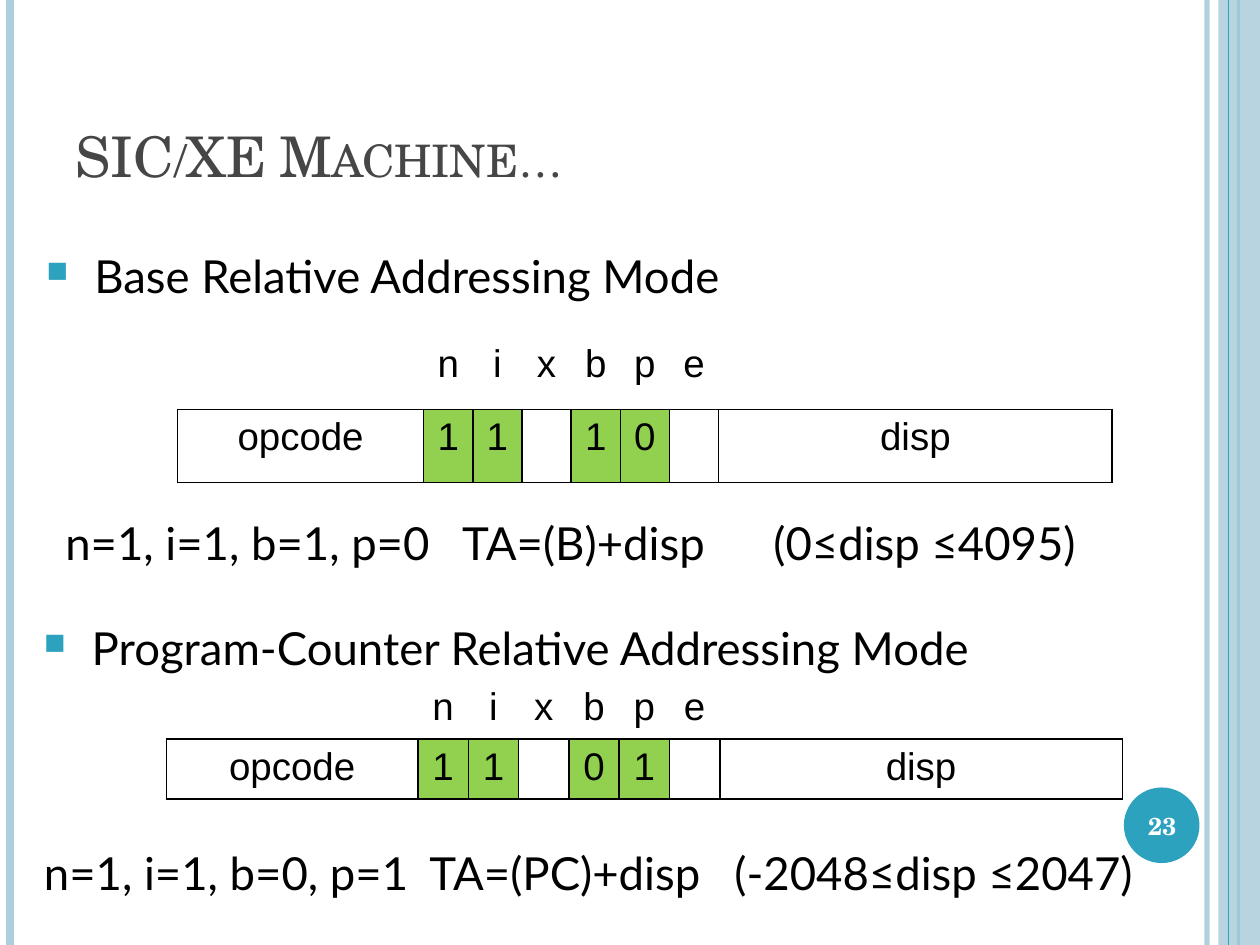
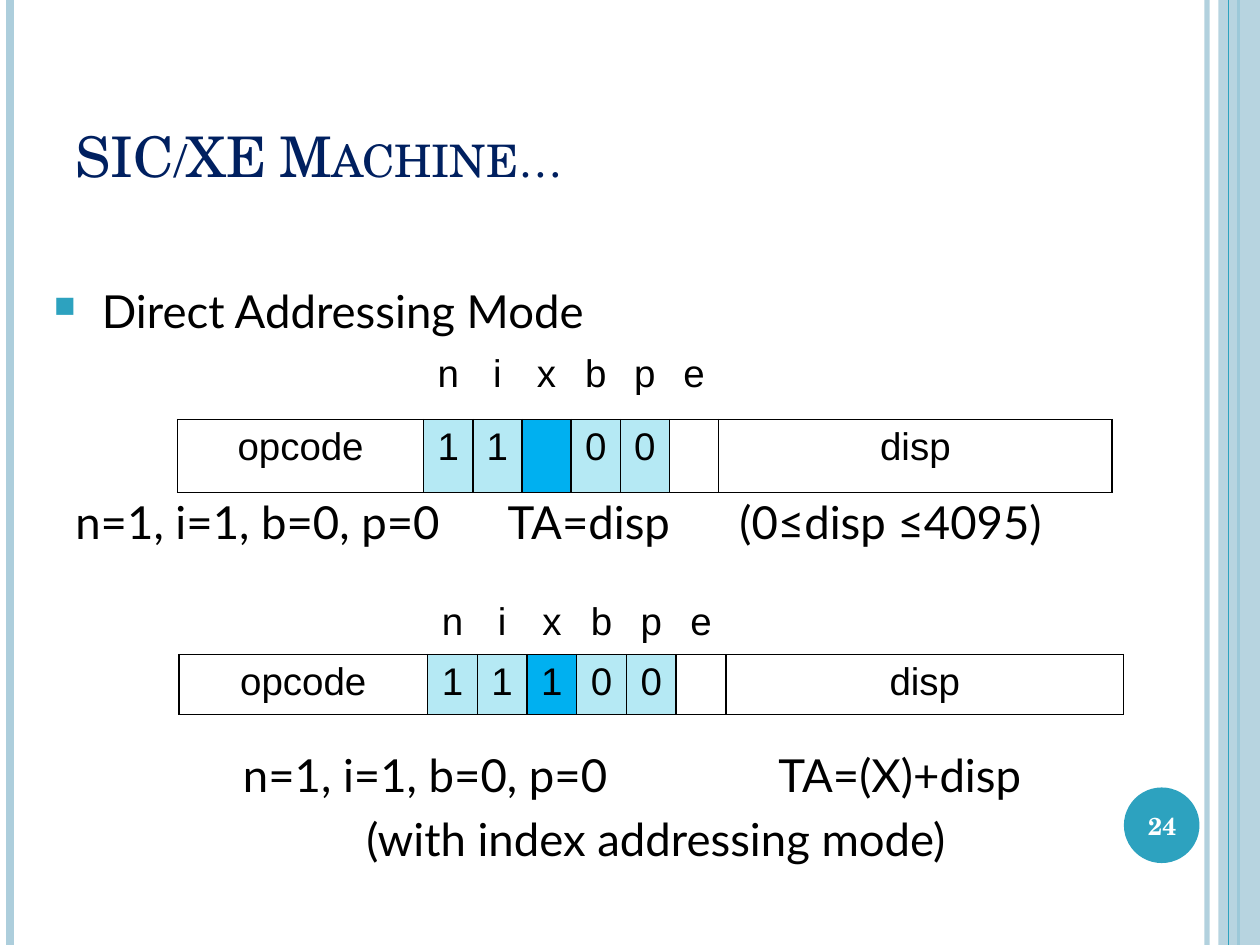
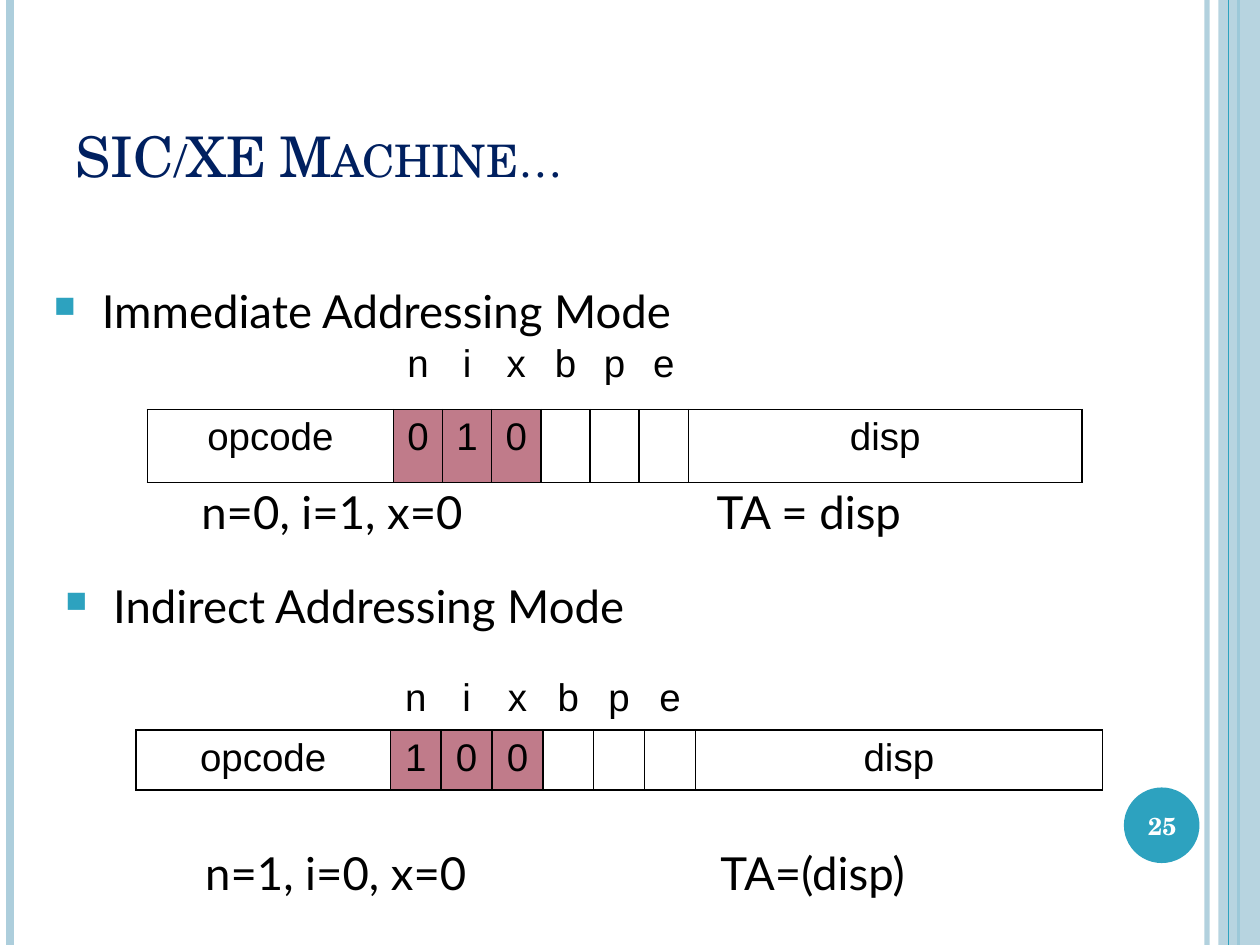
from lxml import etree
from pptx import Presentation
from pptx.dml.color import RGBColor
from pptx.enum.shapes import MSO_CONNECTOR, MSO_SHAPE
from pptx.enum.text import MSO_ANCHOR, PP_ALIGN
from pptx.oxml.ns import qn
from pptx.util import Pt

PX = 9144  # 100 px to the inch
WIDE, HIGH = 1000, 750
LEFT, MID = PP_ALIGN.LEFT, PP_ALIGN.CENTER
TOP, BASE, CORE = MSO_ANCHOR.TOP, MSO_ANCHOR.BOTTOM, MSO_ANCHOR.MIDDLE
LINE, RECT, OVAL = MSO_CONNECTOR.STRAIGHT, MSO_SHAPE.RECTANGLE, MSO_SHAPE.OVAL

HUES = {
    "ink": "000000", "white": "FFFFFF", "gray": "464646", "navy": "002060",
    "teal": "2DA2BF", "pale": "ADCEDC", "green": "92D050", "ice": "B5E9F4",
    "sky": "00B0F0", "rose": "C07B8A",
}
BODY, HEAD, CELL = "Lato", "TeX Gyre Schola", "Arial"
NO_STYLE = "{2D5ABB26-0587-4C30-8999-92F81FD0307C}"
INSET, HANG = 10, 38
COLS = (5, 1, 1, 1, 1, 1, 1, 8)


def rgb(hue):
    return RGBColor.from_string(HUES[hue])


def emu(*sizes):
    return [round(size * PX) for size in sizes]


def sub(node, tag, **attrs):
    """Add a child element in the drawing namespace."""
    child = etree.SubElement(node, qn("a:" + tag))
    for name, value in attrs.items():
        child.set(name, str(value))
    return child


def fade(shape, alpha):
    """Set the opacity, in percent, of the colour of a shape."""
    for node in shape.element.xpath(".//a:srgbClr"):
        sub(node, "alpha", val=alpha * 1000)


def write(frame, *lines, size=26, face=BODY, hue="ink", bold=False, small=False,
          align=LEFT, anchor=TOP, bullet=False, tabs=()):
    """Fill a text frame; align is one value or one for each line."""
    frame.word_wrap = True
    frame.vertical_anchor = anchor
    aligns = align if isinstance(align, tuple) else (align,) * len(lines)
    for i, (words, side) in enumerate(zip(lines, aligns)):
        par = frame.add_paragraph() if i else frame.paragraphs[0]
        par.alignment = side
        if i:
            par.space_before = Pt(size * 0.2)
        props = par._p.get_or_add_pPr()
        if bullet:
            hang = HANG * PX
            props.set("marL", str(hang))
            props.set("indent", str(-hang))
            sub(sub(props, "buClr"), "srgbClr", val=HUES["teal"])
            sub(props, "buSzPct", val=65000)
            sub(props, "buChar", char="■")
        if tabs:
            stops = sub(props, "tabLst")
            for stop in tabs:
                sub(stops, "tab", pos=stop * PX, algn="l")
        run = par.add_run()
        run.text = words
        font = run.font
        font.size, font.name, font.bold = Pt(size), face, bold
        font.color.rgb = rgb(hue)
        if small:
            run._r.get_or_add_rPr().set("cap", "small")


def text(slide, box, *lines, **fmt):
    shape = slide.shapes.add_textbox(*emu(*box))
    write(shape.text_frame, *lines, **fmt)


def rule(slide, x, hue, width, alpha=100):
    """Draw a line down the whole slide."""
    line = slide.shapes.add_connector(LINE, *emu(x, 0, x, HIGH))
    line.line.color.rgb = rgb(hue)
    line.line.width = Pt(width)
    sub(line.element.spPr, "effectLst")
    if alpha < 100:
        fade(line, alpha)


def patch(slide, kind, box, hue):
    shape = slide.shapes.add_shape(kind, *emu(*box))
    shape.shadow.inherit = False
    shape.fill.solid()
    shape.fill.fore_color.rgb = rgb(hue)
    shape.line.fill.background()
    return shape


def start(deck, number, hue):
    """Add a slide with its side bands, title and number."""
    slide = deck.slides.add_slide(deck.slide_layouts[5])
    rule(slide, 958, "pale", 3, alpha=93)
    rule(slide, 8, "pale", 4.5)
    rule(slide, 983, "teal", 1.5)
    fade(patch(slide, RECT, (967, 0, 33, HIGH), "pale"), 87)
    rule(slide, 975, "teal", 0.75)
    patch(slide, OVAL, (892, 625, 60, 60), "teal")
    title = slide.shapes.title
    title.left, title.top, title.width, title.height = emu(50, 30, 817, 125)
    write(title.text_frame, "SIC/XE Machine…", size=32, face=HEAD, hue=hue,
          small=True, anchor=BASE)
    text(slide, (889, 627, 67, 57), str(number), size=14, face=HEAD,
         hue="white", bold=True, align=MID, anchor=CORE)
    return slide


def mode(slide, x, y, words):
    text(slide, (x, y, 850, 63), words, bullet=True)


def sums(slide, box, parts, stops, note=None):
    """Write parts of a formula at tab stops, with a centred note below."""
    tabs = [stop - box[0] - INSET for stop in stops]
    lines = ["\t".join(parts)] + ([note] if note else [])
    text(slide, box, *lines, tabs=tabs, align=(LEFT, MID)[:len(lines)])


def edge(cell, sides):
    props = cell._tc.get_or_add_tcPr()
    for i, side in enumerate(sides):
        line = etree.Element(qn("a:ln" + side), w=str(Pt(1)))
        sub(sub(line, "solidFill"), "srgbClr", val=HUES["ink"])
        props.insert(i, line)


def word(slide, box, bits, fills):
    """Draw an instruction format: flag names above a row of fields."""
    table = slide.shapes.add_table(2, len(COLS), *emu(*box)).table
    table.first_row = table.horz_banding = False
    table._tbl.tblPr.find(qn("a:tableStyleId")).text = NO_STYLE
    for col, units in zip(table.columns, COLS):
        col.width = round(box[2] * PX * units / sum(COLS))
    rows = (["", *"nixbpe", ""], ["opcode", *bits, "disp"])
    hues = ([None] * len(COLS), [None, *fills, None])
    for r, (names, tones) in enumerate(zip(rows, hues)):
        for c, (name, tone) in enumerate(zip(names, tones)):
            cell = table.cell(r, c)
            if name.strip():
                write(cell.text_frame, name, size=22, face=CELL, align=MID)
            if tone:
                cell.fill.solid()
                cell.fill.fore_color.rgb = rgb(tone)
            else:
                cell.fill.background()
            edge(cell, "LRTB" if r else "B")


def relate(deck):
    slide = start(deck, 23, "gray")
    fills = ["green", "green", None, "green", "green", None]
    mode(slide, 27, 192, "Base Relative Addressing Mode")
    word(slide, (141, 267, 742, 116), "11 10 ", fills)
    sums(slide, (42, 404, 900, 63),
         ("n=1, i=1, b=1, p=0", "TA=(B)+disp", "(0≤disp ≤4095)"), (367, 614))
    mode(slide, 25, 487, "Program-Counter Relative Addressing Mode")
    word(slide, (132, 539, 759, 95), "11 01 ", fills)
    sums(slide, (25, 666, 932, 63),
         ("n=1, i=1, b=0, p=1", "TA=(PC)+disp", "(-2048≤disp ≤2047)"), (341, 583))


def direct(deck):
    slide = start(deck, 24, "navy")
    fills = ["ice", "ice", "sky", "ice", "ice", None]
    mode(slide, 33, 220, "Direct Addressing Mode")
    word(slide, (141, 275, 742, 116), "11 00 ", fills)
    sums(slide, (50, 387, 860, 63),
         ("n=1, i=1, b=0, p=0", "TA=disp", "(0≤disp ≤4095)"), (403, 587))
    word(slide, (142, 472, 750, 95), "11100 ", fills)
    sums(slide, (183, 588, 676, 142), ("n=1, i=1, b=0, p=0", "TA=(X)+disp"),
         (618,), note="(with index addressing mode)")


def simple(deck):
    slide = start(deck, 25, "navy")
    fills = ["rose"] * 3 + [None] * 3
    mode(slide, 33, 220, "Immediate Addressing Mode")
    word(slide, (117, 267, 742, 116), "010   ", fills)
    sums(slide, (150, 379, 717, 63), ("n=0, i=1, x=0", "TA = disp"), (569,))
    mode(slide, 42, 454, "Indirect Addressing Mode")
    word(slide, (108, 532, 767, 95), "100   ", fills)
    sums(slide, (153, 666, 814, 63), ("n=1, i=0, x=0", "TA=(disp)"), (572,))


def main():
    deck = Presentation()
    deck.slide_width, deck.slide_height = emu(WIDE, HIGH)
    relate(deck)
    direct(deck)
    simple(deck)
    deck.save("out.pptx")


if __name__ == "__main__":
    main()
